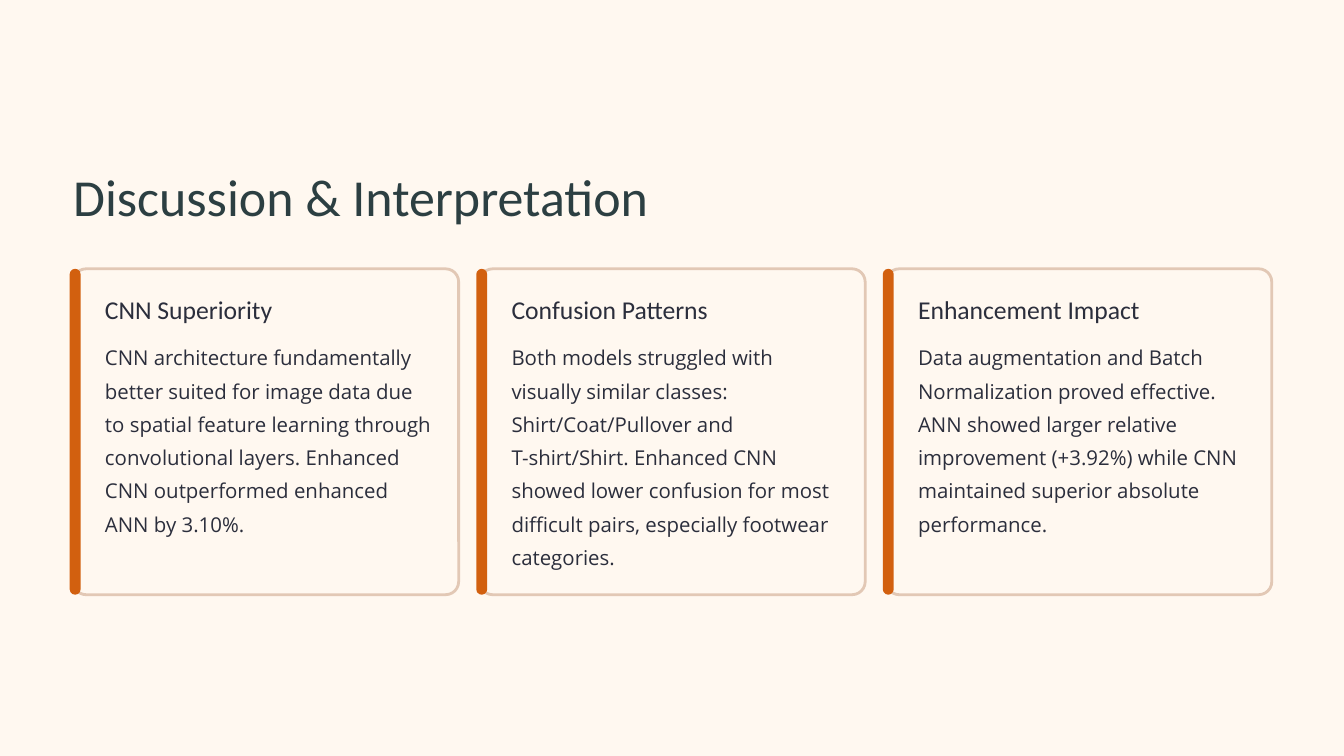
from pptx import Presentation
from pptx.dml.color import RGBColor
from pptx.enum.shapes import MSO_SHAPE
from pptx.util import Inches, Pt

CREAM = RGBColor(0xFF, 0xF8, 0xF0)
SAND = RGBColor(0xE2, 0xC8, 0xB5)
ORANGE = RGBColor(0xD2, 0x60, 0x0F)
TEAL = RGBColor(0x2C, 0x3F, 0x42)
INK = RGBColor(0x2B, 0x2E, 0x3C)

CARDS = [
    ("CNN Superiority",
     "CNN architecture fundamentally better suited for image data due to spatial "
     "feature learning through convolutional layers. Enhanced CNN outperformed "
     "enhanced ANN by 3.10%."),
    ("Confusion Patterns",
     "Both models struggled with visually similar classes: Shirt/Coat/Pullover and "
     "T-shirt/Shirt. Enhanced CNN showed lower confusion for most difficult pairs, "
     "especially footwear categories."),
    ("Enhancement Impact",
     "Data augmentation and Batch Normalization proved effective. ANN showed larger "
     "relative improvement (+3.92%) while CNN maintained superior absolute "
     "performance."),
]
CARD_LEFT, CARD_TOP, CARD_HEIGHT = 0.87, 3.2, 3.88
CARD_STEP = 4.84

presentation = Presentation()
presentation.slide_width = Inches(16)
presentation.slide_height = Inches(9)
slide = presentation.slides.add_slide(presentation.slide_layouts[6])
slide.background.fill.solid()
slide.background.fill.fore_color.rgb = CREAM


def add_text(text, left, top, width, height, font_name, size, spacing, color, wrap=False):
    box = slide.shapes.add_textbox(Inches(left), Inches(top), Inches(width), Inches(height))
    frame = box.text_frame
    frame.word_wrap = wrap
    frame.margin_left = frame.margin_right = frame.margin_top = frame.margin_bottom = 0
    paragraph = frame.paragraphs[0]
    paragraph.line_spacing = Pt(spacing)
    run = paragraph.add_run()
    run.text = text
    run.font.name = font_name
    run.font.size = Pt(size)
    run.font.color.rgb = color


def add_rounded(left, width, corner, fill):
    shape = slide.shapes.add_shape(
        MSO_SHAPE.ROUNDED_RECTANGLE,
        Inches(left), Inches(CARD_TOP), Inches(width), Inches(CARD_HEIGHT))
    shape.adjustments[0] = corner
    shape.shadow.inherit = False
    shape.fill.solid()
    shape.fill.fore_color.rgb = fill
    shape.line.fill.background()
    return shape


add_text("Discussion & Interpretation", CARD_LEFT, 1.93, 7.98, 0.78, "Calibri", 44.5, 55.5, TEAL)

for index, (heading, body) in enumerate(CARDS):
    left = CARD_LEFT + index * CARD_STEP
    card = add_rounded(left, 4.59, 0.04, CREAM)
    card.line.color.rgb = SAND
    card.line.width = Pt(2.4)
    add_rounded(left - 0.04, 0.13, 0.5, ORANGE)
    add_text(heading, left + 0.38, 3.48, 3.14, 0.39, "Calibri", 22, 27.5, INK)
    add_text(body, left + 0.38, 4.01, 3.93, 2.78, "Open Sans", 17.5, 28.5, INK, wrap=True)

presentation.save("out.pptx")
